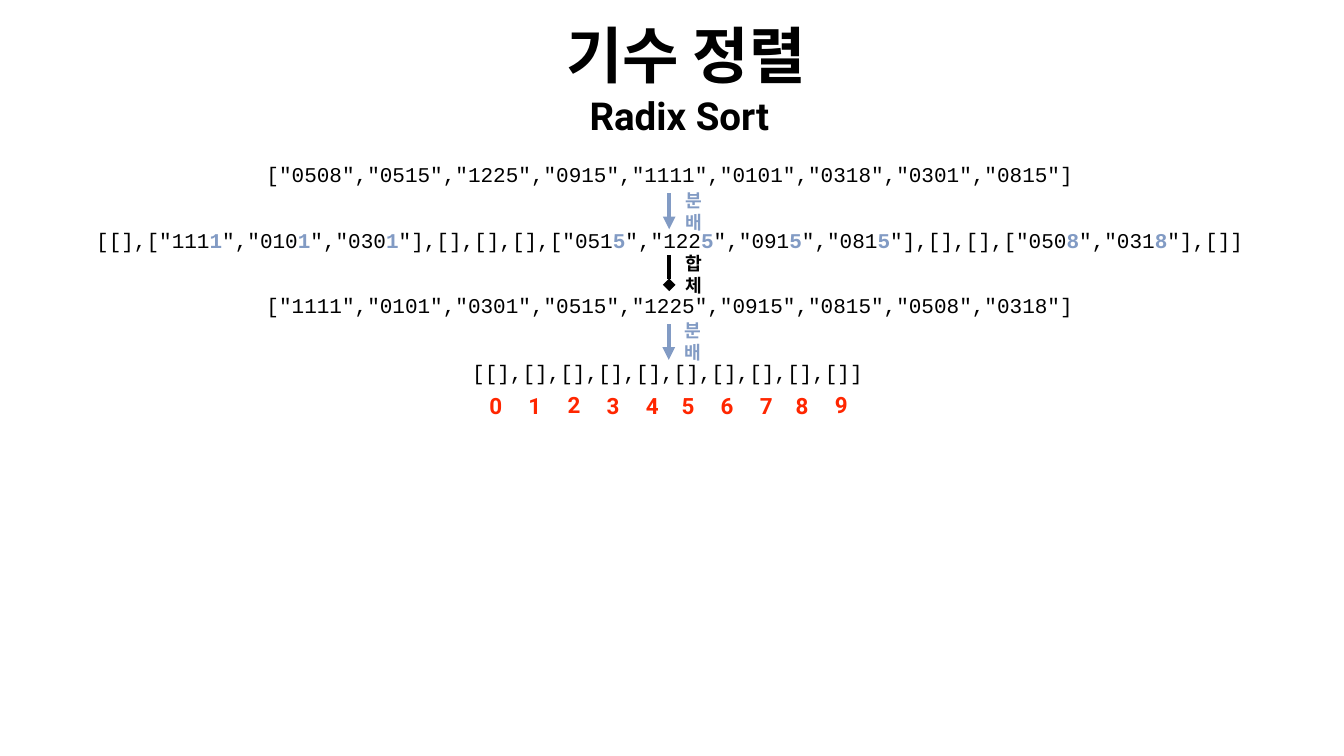
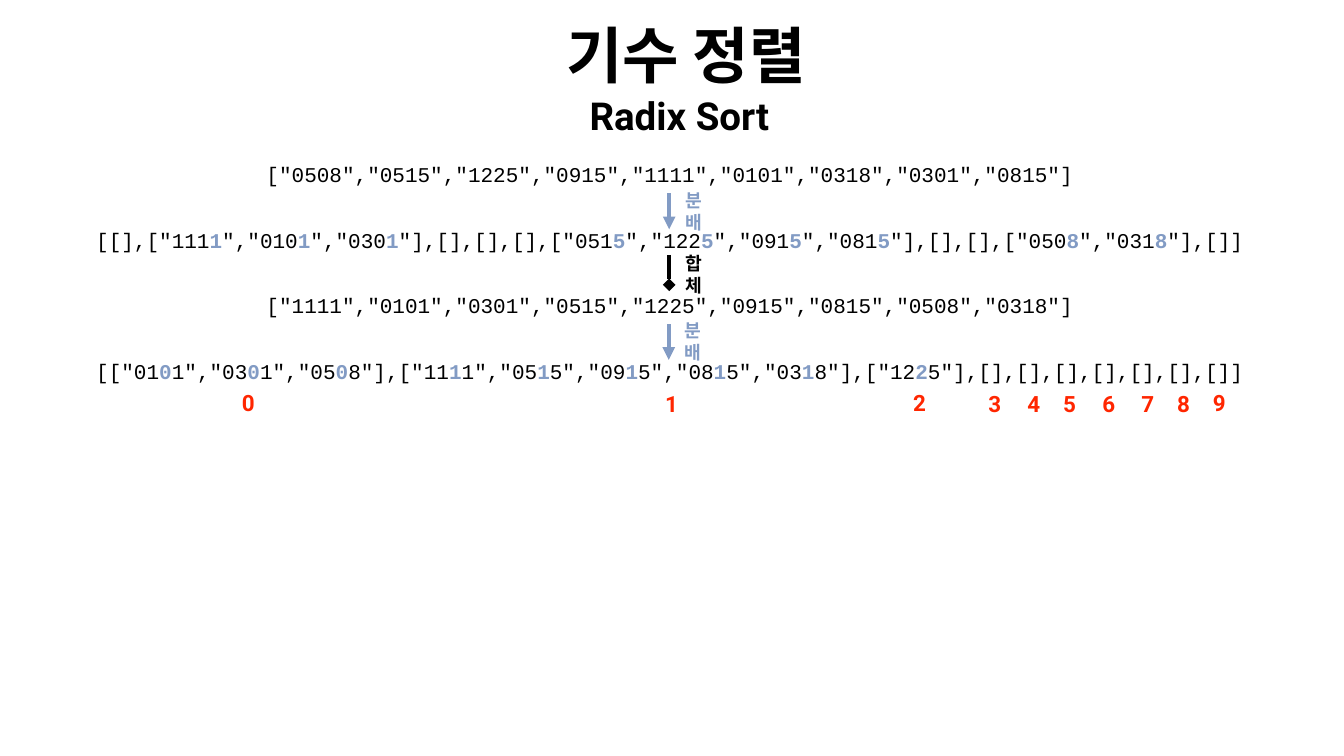
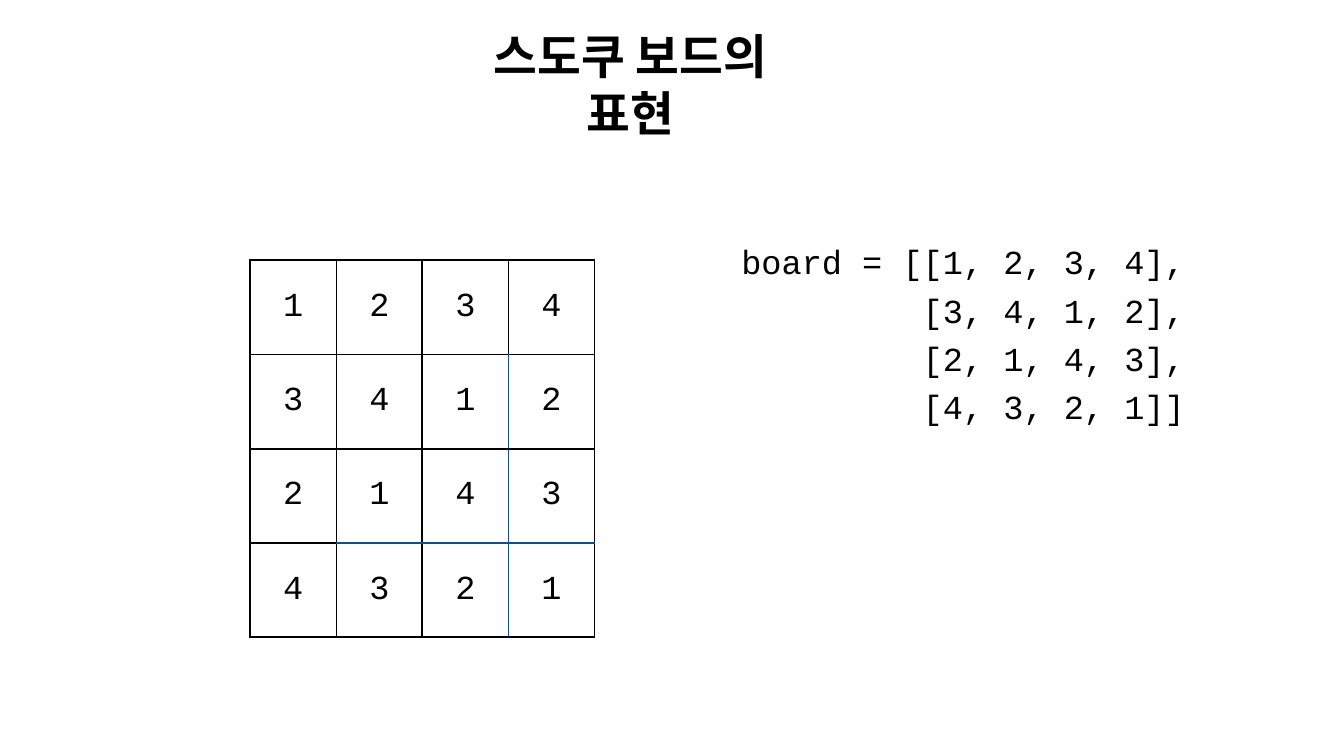
from itertools import accumulate, product

from lxml.etree import SubElement as Sub
from pptx import Presentation
from pptx.dml.color import RGBColor
from pptx.enum.shapes import MSO_CONNECTOR as Link
from pptx.enum.text import MSO_ANCHOR as Anchor, MSO_AUTO_SIZE as Fit, PP_ALIGN as Align
from pptx.oxml import parse_xml
from pptx.oxml.ns import nsdecls, qn
from pptx.util import Pt

BLACK = RGBColor(0x00, 0x00, 0x00)
WHITE = RGBColor(0xFF, 0xFF, 0xFF)
BLUE = RGBColor(0x82, 0x9B, 0xC4)
NAVY = RGBColor(0x16, 0x4F, 0x86)
RED = RGBColor(0xFF, 0x26, 0x00)
CODE = "Courier New"
HEAD = "Roboto"
PLAIN = "{2D5ABB26-0587-4C30-8999-92F81FD0307C}"  # table style without grid

deck = Presentation()
deck.slide_width, deck.slide_height = Pt(1920), Pt(1080)
blank = deck.slide_layouts[6]


def style(para, size, font, color=BLACK, bold=False):
    para.font.size = Pt(size)
    para.font.name = font
    para.font.color.rgb = color
    para.font.bold = bold


def write(slide, text, place, size, font, color=BLACK, bold=False):
    """Add a text box; text between asterisks becomes bold and blue."""
    box = slide.shapes.add_textbox(*map(Pt, place))
    frame = box.text_frame
    frame.word_wrap = False
    frame.auto_size = Fit.SHAPE_TO_FIT_TEXT
    frame.vertical_anchor = Anchor.MIDDLE
    frame.margin_left = frame.margin_right = Pt(5.62)
    frame.margin_top = frame.margin_bottom = Pt(5.62)
    # Centre through the list style, so that the block starts at the box's left
    Sub(frame._txBody.find(qn("a:lstStyle")), qn("a:lvl1pPr"), algn="ctr")
    para = frame.paragraphs[0]
    style(para, size, font, color, bold)
    for i, part in enumerate(text.split("*")):
        run = para.add_run()
        run.text = part
        if i % 2:
            run.font.bold = True
            run.font.color.rgb = BLUE
    return box


# Radix sort: the lists that both slides share
TOP, STEP, HIGH = 226.08, 93.6, 46
LIST = (375.1, 1169.3)  # left and width
WIDE = (131.8, 1657.4)
SHORT = (668.9, 572.4)
lists = [
    ('["0508","0515","1225","0915","1111","0101","0318","0301","0815"]', LIST),
    ('[[],["111*1*","010*1*","030*1*"],[],[],[],["051*5*","122*5*","091*5*","081*5*"],'
     '[],[],["050*8*","031*8*"],[]]', WIDE),
    ('["1111","0101","0301","0515","1225","0915","0815","0508","0318"]', LIST),
]

# Arrows between the lists: x, start, end, head, colour, label, label top
arrows = [
    (956, 275.8, 327.6, "triangle", BLUE, "분배", 280.1),
    (956, 364.3, 406.8, "diamond", BLACK, "합체", 370.1),
    (955.4, 463, 514.1, "triangle", BLUE, "분배", 466.6),
]

# Last list of each slide: text, span, top, then its bucket digits:
# lefts, top, and the digits that sit a little higher
FAR, NEAR, LIFT = 55.9, 51.1, 1.4  # digit gaps and rise
empty = accumulate([693.4, FAR, FAR, FAR, FAR, NEAR, FAR, FAR, NEAR, FAR])
tail = accumulate([1406.2, FAR, NEAR, FAR, FAR, NEAR, NEAR])
stages = [
    ("[[],[],[],[],[],[],[],[],[],[]]", SHORT, 509,
     [*empty], 555.1, {2, 9}),
    ('[["01*0*1","03*0*1","05*0*8"],["11*1*1","05*1*5","09*1*5","08*1*5","03*1*8"],'
     '["12*2*5"],[],[],[],[],[],[],[]]', WIDE, TOP + 3 * STEP,
     [339.8, 944.6, 1298.9, *tail], 551.5, {0, 2, 9}),
]

for last, (left, width), top, lefts, base, raised in stages:
    slide = deck.slides.add_slide(blank)

    # Lists
    for i, (text, (x, wide)) in enumerate(lists):
        write(slide, text, (x, TOP + i * STEP, wide, HIGH), 30, CODE)
    write(slide, last, (left, top, width, HIGH), 30, CODE)

    # Arrows and their labels
    for x, start, end, head, color, label, y in arrows:
        arrow = slide.shapes.add_connector(Link.STRAIGHT, Pt(x), Pt(start), Pt(x), Pt(end))
        arrow.line.width = Pt(6)
        arrow.line.color.rgb = color
        props = arrow._element.spPr
        Sub(props.find(qn("a:ln")), qn("a:tailEnd"), type=head)
        Sub(props, qn("a:effectLst"))
        write(slide, label, (x + 17.4, y, 56.9, 42.5), 26, CODE, color, True)

    # Title and subtitle
    title = write(slide, "기수 정렬", (798.5, 13, 362.9, 121), 87.6, HEAD, bold=True)
    title.fill.solid()
    title.fill.fore_color.rgb = WHITE
    frame = title.text_frame
    frame.word_wrap = True
    frame.auto_size = Fit.NONE
    frame.vertical_anchor = Anchor.BOTTOM
    frame.margin_left = frame.margin_right = Pt(4)
    frame.margin_top = frame.margin_bottom = Pt(4)
    write(slide, "Radix Sort", (836.6, 125.3, 286.6, 77.8), 55, HEAD, bold=True)

    # Bucket digits
    for digit, x in enumerate(lefts):
        y = base - LIFT if digit in raised else base
        write(slide, str(digit), (x, y, 30.2, 49.7), 32, HEAD, RED, True)

# Sudoku board
board = [[1, 2, 3, 4], [3, 4, 1, 2], [2, 1, 4, 3], [4, 3, 2, 1]]
slide = deck.slides.add_slide(blank)
write(slide, "스도쿠 보드의 표현", (699.8, 71.3, 520.6, 97.9), 68, HEAD, bold=True)

# Board as code: later lines are indented by the length of "board = ["
CHAR = 28.8  # width of one letter at 48 points
lead = "board = ["
first, *rest = (lead + str(board)[1:]).replace("], ", "],\n").split("\n")
code = write(slide, first, (1053.4, 337, 696.2, 268.6), 48, CODE)
frame = code.text_frame
frame.word_wrap = True
for line in rest:
    para = frame.add_paragraph()
    para.text = line
    style(para, 48, CODE)
    para._p.get_or_add_pPr().set("marL", str(Pt(len(lead) * CHAR)))
for para in frame.paragraphs:
    para.alignment = Align.LEFT
    para.line_spacing = 1.2

# Board as table: row 0 and column 0 stay empty
SIZE, COL, ROW = 5, 123, 134.6
holder = slide.shapes.add_table(SIZE, SIZE, Pt(234.4), Pt(237.3),
                                Pt(SIZE * COL), Pt(SIZE * ROW))
table = holder.table
table.first_row = table.horz_banding = False
table._tbl.tblPr.find(qn("a:tableStyleId")).text = PLAIN

# Alternate rows are white
for r, c in product(range(SIZE), repeat=2):
    fill = table.cell(r, c).fill
    if r % 2:
        fill.background()
    else:
        fill.solid()
        fill.fore_color.rgb = WHITE

# Numbers and grid lines; line n runs after row or column n
for r, c in product(range(1, SIZE), repeat=2):
    cell = table.cell(r, c)
    cell.margin_left = cell.margin_right = Pt(4)
    cell.margin_top = cell.margin_bottom = Pt(4)
    cell.vertical_anchor = Anchor.MIDDLE
    para = cell.text_frame.paragraphs[0]
    para.text = str(board[r - 1][c - 1])
    para.alignment = Align.CENTER
    style(para, 48, CODE)

    # Even lines bound the 2 by 2 blocks; line 3 is navy past the first cell
    sides = [("lnL", c - 1, r), ("lnR", c, r), ("lnT", r - 1, c), ("lnB", r, c)]
    for i, (side, line, along) in enumerate(sides):
        width = Pt(2 if line % 2 else 3)
        color = NAVY if line == 3 and along > 1 else BLACK
        cell._tc.get_or_add_tcPr().insert(i, parse_xml(
            f'<a:{side} {nsdecls("a")} w="{width}"><a:solidFill>'
            f'<a:srgbClr val="{color}"/></a:solidFill></a:{side}>'))

# Columns and rows
for col in table.columns:
    col.width = Pt(COL)
for row in table.rows:
    row.height = Pt(ROW)

deck.save("out.pptx")
